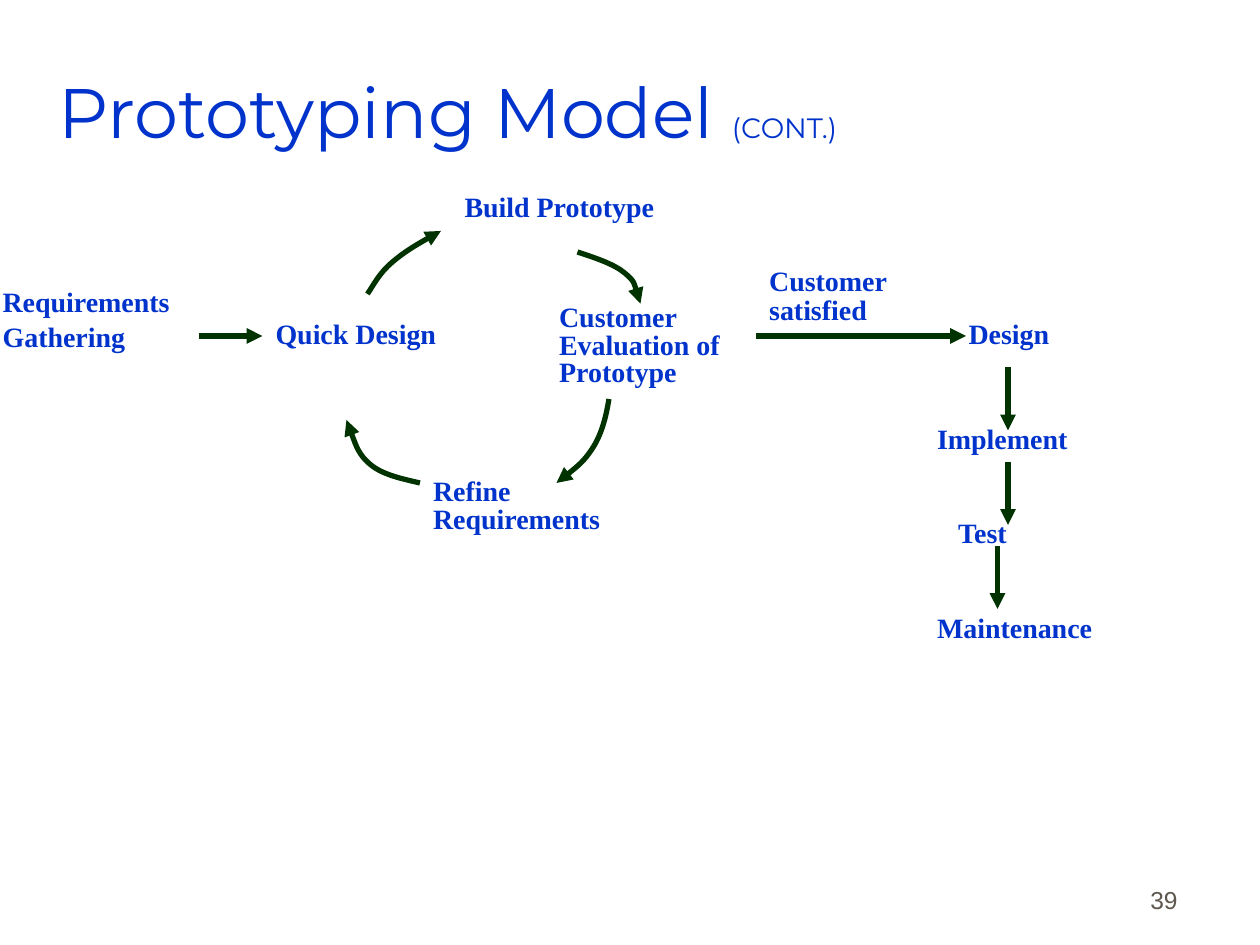
"""Builds the Prototyping Model slide: a refinement loop that leads to delivery."""
from lxml.etree import SubElement
from pptx import Presentation
from pptx.dml.color import RGBColor
from pptx.enum.shapes import MSO_CONNECTOR
from pptx.enum.text import MSO_ANCHOR, PP_ALIGN
from pptx.oxml.ns import qn
from pptx.util import Pt

BLUE, GREEN, GREY = "0033CC", "003300", "5E574E"
TITLE = [("Prototyping Model ", 40), ("(CONT.)", 16)]
PAGE = "39"

# name: (lines, left, top, width, height, line spacing)
STEPS = {
    "gathering": (["Requirements", "Gathering"], 0, 162, 110, 67, 0.85),
    "quick": (["Quick Design"], 156, 180, 108, 24, 0.85),
    "refine": (["Refine Requirements"], 246, 270, 126, 45, 0.85),
    "build": (["Build Prototype"], 264, 108, 120, 45, 0.85),
    "evaluation": (["Customer", "Evaluation of", "Prototype"], 318, 174, 126, 66, 0.63),
    "satisfied": (["Customer satisfied"], 438, 150, 120, 45, 0.85),
    "design": (["Design"], 552, 180, 90, 24, 0.85),
    "implement": (["Implement"], 534, 240, 90, 24, 0.85),
    "test": (["Test"], 546, 294, 90, 24, 0.85),
    "maintenance": (["Maintenance"], 534, 348, 108, 24, 0.85),
}
ARROWS = [
    ((114, 192), (150, 192), None),
    ((432, 192), (552, 192), "design"),
    ((576, 210), (576, 246), None),
    ((576, 264), (576, 300), None),
    ((570, 312), (570, 348), None),
]
CURVES = [
    [(210, 168), (214, 162), (217, 156), (224, 150), (231, 144), (241, 138), (252, 132)],
    [(330, 144), (341, 147.6), (351, 151), (357, 156), (363, 161), (364, 167), (366, 173.5)],
    [(348, 228), (346.5, 237.6), (344, 247.7), (339, 255.6), (334, 263.5), (326, 270), (318, 276)],
    [(240, 276), (229.7, 273.6), (219, 271.4), (212, 265.7), (205, 260), (201.6, 250), (198, 240)],
]


def rgb(value):
    return RGBColor.from_string(value)


def set_font(font, name, size, color, bold=False):
    font.name, font.size, font.bold = name, Pt(size), bold
    font.color.rgb = rgb(color)


def add_box(s, left, top, width, height, anchor=MSO_ANCHOR.TOP, side=1.5):
    sp = s.shapes.add_textbox(Pt(left), Pt(top), Pt(width), Pt(height))
    tf = sp.text_frame
    tf.word_wrap, tf.vertical_anchor = True, anchor
    tf.margin_left = tf.margin_right = Pt(side)
    tf.margin_top = tf.margin_bottom = Pt(3.6)
    return sp


def add_step(s, lines, left, top, width, height, spacing):
    sp = add_box(s, left, top, width, height)
    tf = sp.text_frame
    tf.text = "\n".join(lines)
    for i, p in enumerate(tf.paragraphs):
        p.line_spacing = spacing
        if i:
            p.space_before = Pt(3.6)
        set_font(p.font, "Times New Roman", 16, BLUE, True)
    return sp


def style_arrow(sp):
    sp.line.color.rgb, sp.line.width = rgb(GREEN), Pt(3)
    SubElement(sp._element.spPr.find(qn("a:ln")), qn("a:tailEnd"), type="triangle")


def add_arrow(s, start, end, target):
    sp = s.shapes.add_connector(MSO_CONNECTOR.STRAIGHT, *map(Pt, start + end))
    style_arrow(sp)
    SubElement(sp._element.spPr, qn("a:effectLst"))
    if target:
        sp.end_connect(target, 1)


def add_curve(s, points):
    start, *rest = [(Pt(x), Pt(y)) for x, y in points]
    builder = s.shapes.build_freeform(*start)
    builder.add_line_segments(rest, close=False)
    sp = builder.convert_to_shape()
    segments = list(sp._element.iter(qn("a:lnTo")))
    outline = segments[0].getparent()
    for i in range(0, len(segments), 3):
        bezier = SubElement(outline, qn("a:cubicBezTo"))
        for segment in segments[i:i + 3]:
            bezier.append(segment[0])
            outline.remove(segment)
    sp.fill.background()
    sp.shadow.inherit = False
    style_arrow(sp)


def main():
    prs = Presentation()
    prs.slide_width, prs.slide_height = Pt(720), Pt(540)
    s = prs.slides.add_slide(prs.slide_layouts[6])

    p = add_box(s, 32, 18, 612, 90, MSO_ANCHOR.MIDDLE).text_frame.paragraphs[0]
    for text, size in TITLE:
        r = p.add_run()
        r.text = text
        set_font(r.font, "Montserrat", size, BLUE)

    p = add_box(s, 530, 490, 150, 36, MSO_ANCHOR.BOTTOM, 7.2).text_frame.paragraphs[0]
    p.text, p.alignment = PAGE, PP_ALIGN.RIGHT
    set_font(p.font, "Arial", 14, GREY)

    steps = {name: add_step(s, *step) for name, step in STEPS.items()}
    for start, end, target in ARROWS:
        add_arrow(s, start, end, steps.get(target))
    for points in CURVES:
        add_curve(s, points)

    prs.save("out.pptx")


if __name__ == "__main__":
    main()
